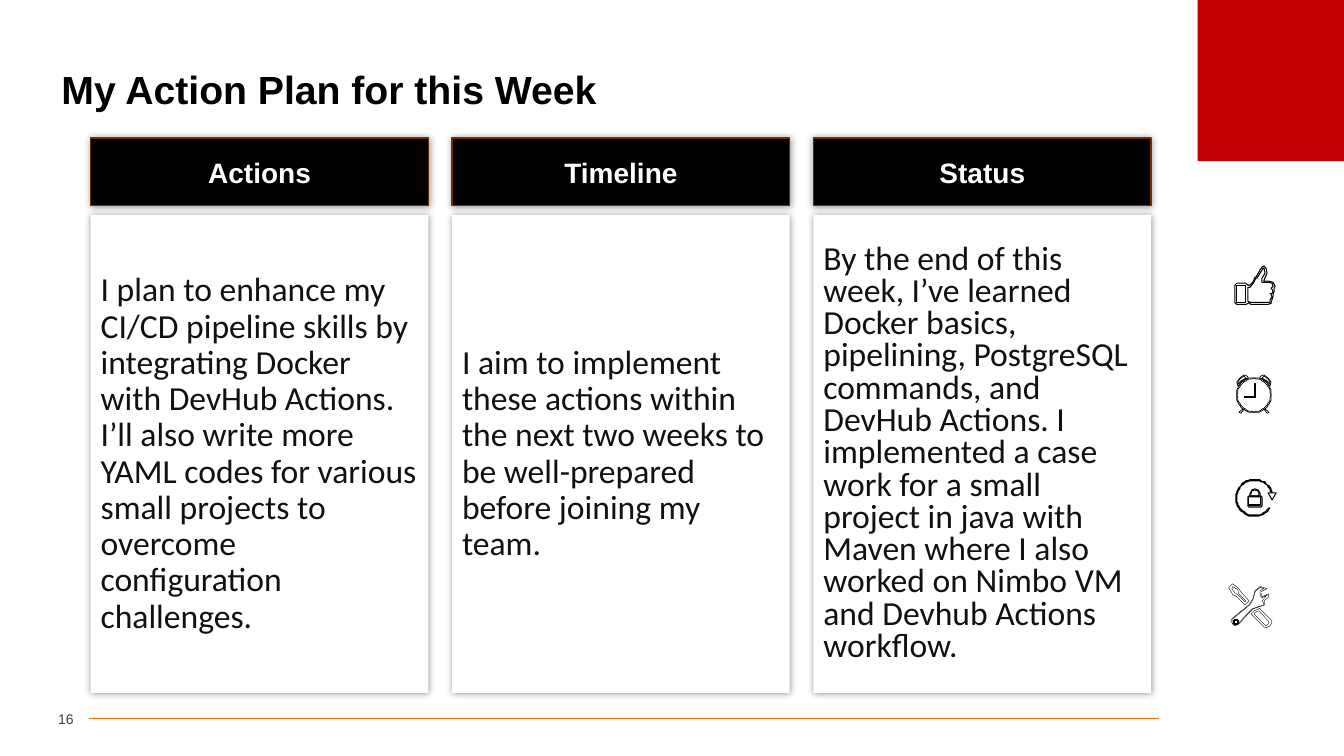
import math
from dataclasses import dataclass

import pptx
import pptx.dml.color
import pptx.enum.shapes
import pptx.enum.text
import pptx.oxml
import pptx.oxml.ns
import pptx.util

SHAPE = pptx.enum.shapes.MSO_SHAPE
ALIGN = pptx.enum.text.PP_ALIGN
Points = list[tuple[float, float]]

# The slide is a grid of square cells, 75 rows high and 133.33 columns wide
ROWS, COLUMNS = 75, 133.33
CELL = pptx.util.Inches(7.5) / ROWS
CARD_LEFT, CARD_PITCH, CARD_WIDTH = 9, 35.85, 33.5
HEADER_TOP, HEADER_HEIGHT = 13.7, 6.7
BODY_TOP, BODY_HEIGHT = 21.35, 47.4


@dataclass
class Card:
    heading: str
    body: str
    spacing: float = 0.9


@dataclass
class Icon:
    left: float
    top: float
    weight: float
    outlines: list[list[Points]]  # contours in tenths of a cell


CARDS = [
    Card("Actions", "I plan to enhance my CI/CD pipeline skills by integrating Docker with "
         "DevHub Actions. I’ll also write more YAML codes for various small projects to "
         "overcome configuration challenges."),
    Card("Timeline", "I aim to implement these actions within the next two weeks to be "
         "well-prepared before joining my team."),
    Card("Status", "By the end of this week, I’ve learned Docker basics, pipelining, "
         "PostgreSQL commands, and DevHub Actions. I implemented a case work for a small "
         "project in java with Maven where I also worked on Nimbo VM and Devhub Actions "
         "workflow.", 0.8),
]


# Outline helpers
def pts(text: str) -> Points:
    pairs = (pair.split(",") for pair in text.split())
    return [(float(x), float(y)) for x, y in pairs]


def mirror(outline: list[Points]) -> list[Points]:
    return [[(90 - x, y) for x, y in contour] for contour in outline]


def arc(cx: float, cy: float, radius: float, start: int = 0, end: int = 360) -> Points:
    angles = [math.radians(start + (end - start) * i / 60) for i in range(61)]
    return [(cx + radius * math.cos(a), cy + radius * math.sin(a)) for a in angles]


THUMB = [
    pts("65,43 66,41 64,37 60,36 55,36 55,35 58,28 57,23 55,21 53,22 51,25 47,32 46,32 "
        "44,37 41,40 39,40 37,38 28,38 26,40 26,57 28,59 37,59 39,58 40,57 42,59 59,59 "
        "62,58 63,54 64,51 64,49 65,46"),
    pts("37,57 28,57 28,40 37,40"),
    pts("63,42 62,43 63,44 64,46 63,48 61,48 62,49 63,51 62,53 61,54 61,57 59,57 42,57 "
        "39,56 39,42 41,42 42,41 45,37 47,33 48,33 53,25 54,23 55,23 56,28 53,33 53,37 "
        "60,37 63,38 64,41"),
]
BELL = [pts("61,36 57,31 51,28 51,27 52,26 55,25 59,28 62,32"),
        pts("53,28 58,31 61,34 61,32 59,29 55,26")]
LEG = [pts("58,63 55,59 55,58 60,62")]
DIAL = [arc(45, 45, 17.5), arc(45, 45, 16.5)]
HANDS = [pts("46,47 35,47 35,46 45,46 45,33 46,33")]
CYCLE = [arc(45.5, 45, 18.5, 33, 357) + arc(45.5, 45, 17.5, 357, 33)]
ARROW = [pts("59,40 63,47 67,40")]
SHACKLE = [pts("41,44 41,41 43,37 46,36 49,37 51,40 51,44"),
           pts("42,43 42,41 43,38 46,37 49,38 50,40 50,43")]
LOCK = [pts("40,54 39,53 39,44 40,43 52,43 53,44 53,53 52,54"),
        pts("40,44 40,52 52,52 52,44")]
HANDLE = [pts("60,68 58,67 45,54 48,51 53,49 53,48 65,60 66,62 64,66"),
          pts("60,66 62,64 63,62 53,51 50,52 48,54")]
BLADE = [pts("39,45 31,37 27,35 23,28 27,24 33,29 35,32 43,41 43,42 41,43"),
         pts("29,33 32,35 39,42 40,41 33,34 32,30 27,27 26,29")]
WRENCH = [
    pts("55,27 54,27 49,31 47,39 43,45 27,58 25,61 27,64 29,66 33,64 47,49 59,45 58,41 "
        "62,38 63,34 56,37 55,33 55,32 61,29"),
    pts("55,28 58,29 54,31 54,33 55,37 56,38 61,35 57,40 56,41 57,42 58,45 46,49 32,64 "
        "29,65 27,64 27,59 44,45 47,40 49,33 50,31 54,28"),
    arc(29.5, 61.5, 2.5), arc(29.5, 61.5, 1.5),
]
ICONS = [
    Icon(119.9, 24.3, 0.75, [THUMB]),
    Icon(119.9, 34.7, 0.5, [BELL, mirror(BELL), LEG, mirror(LEG), DIAL, HANDS]),
    Icon(119.9, 44.9, 0.75, [CYCLE, ARROW, SHACKLE, LOCK]),
    Icon(119.6, 55.5, 0.25, [HANDLE, BLADE, WRENCH]),
]


# Drawing functions
def cells(count: float) -> pptx.util.Emu:
    return pptx.util.Emu(round(count * CELL))


def rgb(value: str) -> pptx.dml.color.RGBColor:
    return pptx.dml.color.RGBColor.from_string(value)


def paint(sp, fill: str, line: str = "", weight: float = 1) -> None:
    sp.shadow.inherit = False
    sp.fill.solid()
    sp.fill.fore_color.rgb = rgb(fill)
    if line:
        sp.line.color.rgb = rgb(line)
        sp.line.width = pptx.util.Pt(weight)
    else:
        sp.line.fill.background()


def add_glow(sp) -> None:
    ns = pptx.oxml.ns.nsdecls("a")
    effects = sp._element.spPr.find(pptx.oxml.ns.qn("a:effectLst"))
    effects.append(pptx.oxml.parse_xml(
        f'<a:outerShdw {ns} blurRad="{pptx.util.Pt(5)}" dist="0" dir="0" algn="ctr" '
        'rotWithShape="0"><a:srgbClr val="000000"><a:alpha val="40000"/></a:srgbClr>'
        '</a:outerShdw>'))


def write(sp, text: str, size: float, color: str, font: str = "Arial", bold: bool = False,
          align=ALIGN.LEFT, spacing: float = 1.0) -> None:
    tf = sp.text_frame
    tf.word_wrap = True
    tf.auto_size = pptx.enum.text.MSO_AUTO_SIZE.NONE
    tf.vertical_anchor = pptx.enum.text.MSO_ANCHOR.MIDDLE
    p = tf.paragraphs[0]
    p.alignment, p.line_spacing = align, spacing
    r = p.add_run()
    r.text = text
    r.font.name, r.font.size, r.font.bold = font, pptx.util.Pt(size), bold
    r.font.color.rgb = rgb(color)


def add_box(s, left: float, top: float, width: float, height: float, fill: str,
            line: str = ""):
    sp = s.shapes.add_shape(SHAPE.RECTANGLE, *map(cells, (left, top, width, height)))
    paint(sp, fill, line)
    return sp


def draw_card(s, column: int, card: Card) -> None:
    left = CARD_LEFT + column * CARD_PITCH
    body = add_box(s, left, BODY_TOP, CARD_WIDTH, BODY_HEIGHT, "FFFFFF")
    add_glow(body)
    write(body, card.body, 24, "111111", "Calibri", spacing=card.spacing)
    header = add_box(s, left, HEADER_TOP, CARD_WIDTH, HEADER_HEIGHT, "000000", "702D00")
    add_glow(header)
    write(header, card.heading, 20, "FFFFFF", bold=True, align=ALIGN.CENTER)


def draw_icon(s, icon: Icon) -> None:
    for outline in icon.outlines:
        builder = s.shapes.build_freeform(*outline[0][0], scale=CELL / 10)
        for i, contour in enumerate(outline):
            if i:
                builder.move_to(*contour[0])
            builder.add_line_segments(contour[1:], close=True)
        sp = builder.convert_to_shape(cells(icon.left), cells(icon.top))
        paint(sp, "FFFFFF", "000000", icon.weight)


def main() -> None:
    prs = pptx.Presentation()
    prs.slide_width, prs.slide_height = cells(COLUMNS), cells(ROWS)
    s = prs.slides.add_slide(prs.slide_layouts[5])

    # Title and corner block
    title = s.shapes.title
    title.left, title.top, title.width, title.height = map(cells, (5.1, 5.2, 123.1, 7.8))
    write(title, "My Action Plan for this Week", 28, "000000", bold=True, spacing=0.9)
    add_box(s, 118.8, 0, COLUMNS - 118.8, 16, "C00000")

    # Footer rule and page number
    rule = s.shapes.add_connector(pptx.enum.shapes.MSO_CONNECTOR.STRAIGHT,
                                  *map(cells, (8.8, 71.3, 115, 71.3)))
    rule.line.color.rgb = rgb("FF6600")
    rule.line.width = pptx.util.Pt(0.5)
    rule._element.spPr.append(pptx.oxml.parse_xml(
        f'<a:effectLst {pptx.oxml.ns.nsdecls("a")}/>'))
    number = s.shapes.add_textbox(*map(cells, (3.3, 69.9, 4, 2.9)))
    number.text_frame.margin_left = number.text_frame.margin_right = 0
    write(number, "16", 10, "404040", align=ALIGN.RIGHT)

    # Cards and icons
    for column, card in enumerate(CARDS):
        draw_card(s, column, card)
    for icon in ICONS:
        draw_icon(s, icon)
    prs.save("out.pptx")


if __name__ == "__main__":
    main()
